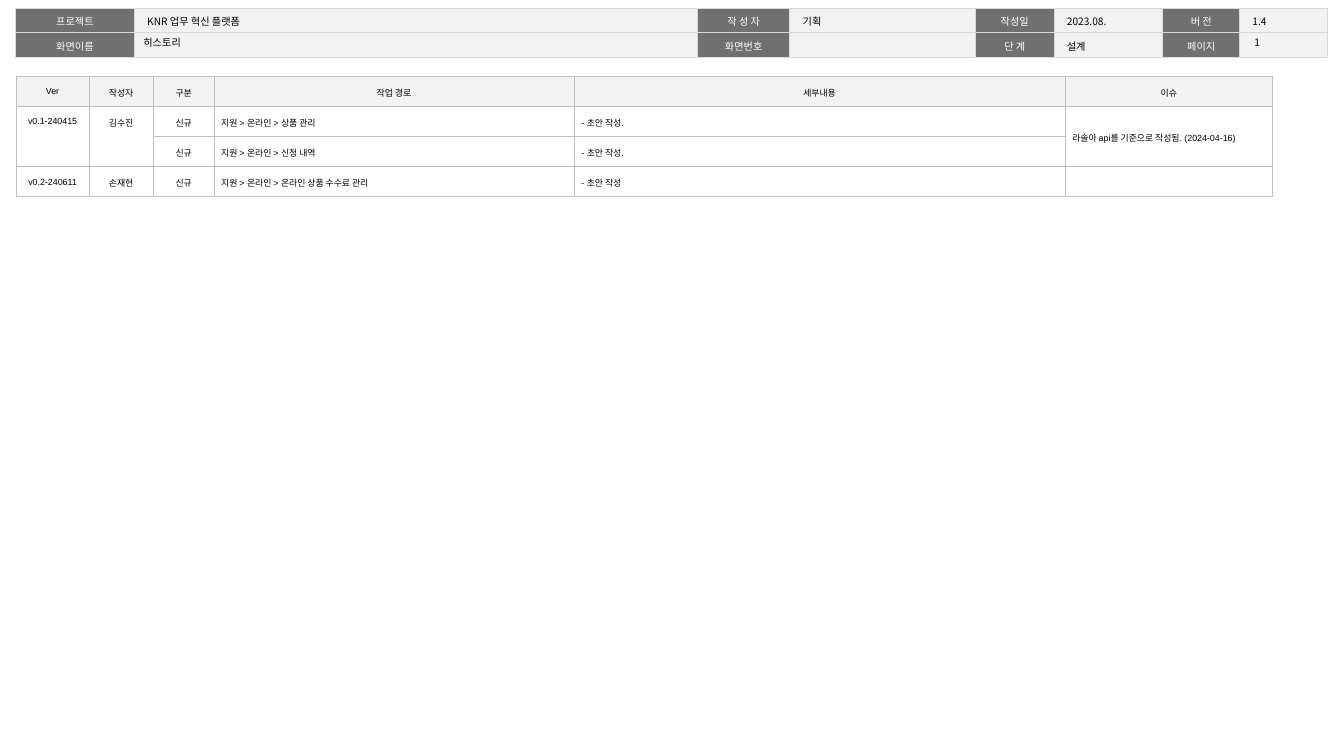
from lxml import etree
from pptx import Presentation
from pptx import util as u
from pptx.dml.color import RGBColor
from pptx.enum import text
from pptx.oxml import ns

PX = 9144  # 100 px to the inch
CJK = "Noto Sans CJK KR"
MID, TOP = text.MSO_ANCHOR.MIDDLE, text.MSO_ANCHOR.TOP
INFO = [
    ["프로젝트", "KNR 업무 혁신 플랫폼", "작 성 자", "기획",
     "작성일", "2023.08.", "버 전", "1.4"],
    ["화면이름", "", "화면번호", "", "단 계", "설계", "페이지", ""],
]
LOG = [
    ["Ver", "작성자", "구분", "작업 경로", "세부내용", "이슈"],
    ["v0.1-240415", "김수진", "신규", "지원 > 온라인 > 상품 관리", "- 초안 작성.",
     "라솔아 api를 기준으로 작성됨. (2024-04-16)"],
    ["", "", "신규", "지원 > 온라인 > 신청 내역", "- 초안 작성.", ""],
    ["v0.2-240611", "손재현", "신규", "지원 > 온라인 > 온라인 상품 수수료 관리",
     "- 초안 작성", ""],
]


def rgb(code):
    return RGBColor.from_string(code)


def write(frame, words, size, face, color="000000", center=False, lines=1.0):
    par = frame.paragraphs[0]
    if words:
        par.text = words
    else:
        end = etree.SubElement(par._p, ns.qn("a:endParaRPr"))
        end.set("sz", str(size * 100))
    par.line_spacing = lines
    par.alignment = text.PP_ALIGN.CENTER if center else text.PP_ALIGN.LEFT
    font = par.font
    font.size, font.name = u.Pt(size), face
    font.color.rgb = rgb(color)
    east = etree.SubElement(font._element, ns.qn("a:ea"))
    east.set("typeface", CJK)


def border(cell, color, width, skip=""):
    """Draw the cell's sides, leaving out those named in skip."""
    props = cell._tc.get_or_add_tcPr()
    for side in "LRTB":
        line = etree.SubElement(props, ns.qn("a:ln" + side))
        line.set("w", str(u.Pt(width)))
        if side in skip:
            etree.SubElement(line, ns.qn("a:noFill"))
        else:
            fill = etree.SubElement(line, ns.qn("a:solidFill"))
            etree.SubElement(fill, ns.qn("a:srgbClr")).set("val", color)


def pad(item, left, top, right, bottom):
    item.margin_left, item.margin_top = left * PX, top * PX
    item.margin_right, item.margin_bottom = right * PX, bottom * PX


def grid(slide, left, top, cols, high, count):
    """Add a plain table with equal rows."""
    frame = slide.shapes.add_table(count, len(cols), left * PX, top * PX,
                                   sum(cols) * PX, high * count * PX)
    table = frame.table
    table.first_row = table.horz_banding = False
    for col, wide in zip(table.columns, cols):
        col.width = wide * PX
    for row in table.rows:
        row.height = high * PX
    return table


def paint(cell, color, anchor):
    cell.fill.solid()
    cell.fill.fore_color.rgb = rgb(color)
    cell.vertical_anchor = anchor


def label(slide, left, top, wide, high, words):
    box = slide.shapes.add_textbox(left * PX, top * PX, wide * PX, high * PX)
    frame = box.text_frame
    frame.word_wrap = True
    frame.vertical_anchor = MID
    pad(frame, 10, 5, 10, 5)
    write(frame, words, 8, CJK)


def header(slide, left, top):
    cols = [130, 616, 101, 203, 86, 119, 84, 96]
    table = grid(slide, left, top, cols, 27, len(INFO))
    for r, row in enumerate(INFO):
        for c, words in enumerate(row):
            cell, name = table.cell(r, c), c % 2 == 0
            border(cell, "D9D9D9", 1)
            paint(cell, "707070" if name else "F2F2F2", TOP)
            pad(cell, 14, 5, 14, 5)
            write(cell.text_frame, words, 8, CJK,
                  "FFFFFF" if name else "000000", name, 1.05)
    label(slide, left + 1345, top + 29, 72, 16, "1")
    label(slide, left + 130, top + 29, 542, 16, "히스토리")


def history(slide, left, top):
    cols = [79, 71, 66, 394, 537, 227]
    table = grid(slide, left, top, cols, 33, len(LOG))
    for r, row in enumerate(LOG):
        for c, words in enumerate(row):
            cell = table.cell(r, c)
            open_side = {1: "B", 2: "T"}.get(r, "") if c < 2 else ""
            border(cell, "BFBFBF", 0.25, open_side)
            paint(cell, "FFFFFF" if r else "F2F2F2", MID)
            pad(cell, 8, 4, 8, 8)
            write(cell.text_frame, words, 7, "Arial",
                  center=r == 0 or c < 3, lines=1.5)
    table.cell(1, 5).merge(table.cell(2, 5))


def main():
    deck = Presentation()
    deck.slide_width, deck.slide_height = 1470 * PX, 827 * PX
    slide = deck.slides.add_slide(deck.slide_layouts[6])
    header(slide, 17, 9)
    history(slide, 18, 83)
    deck.save("out.pptx")


if __name__ == "__main__":
    main()
